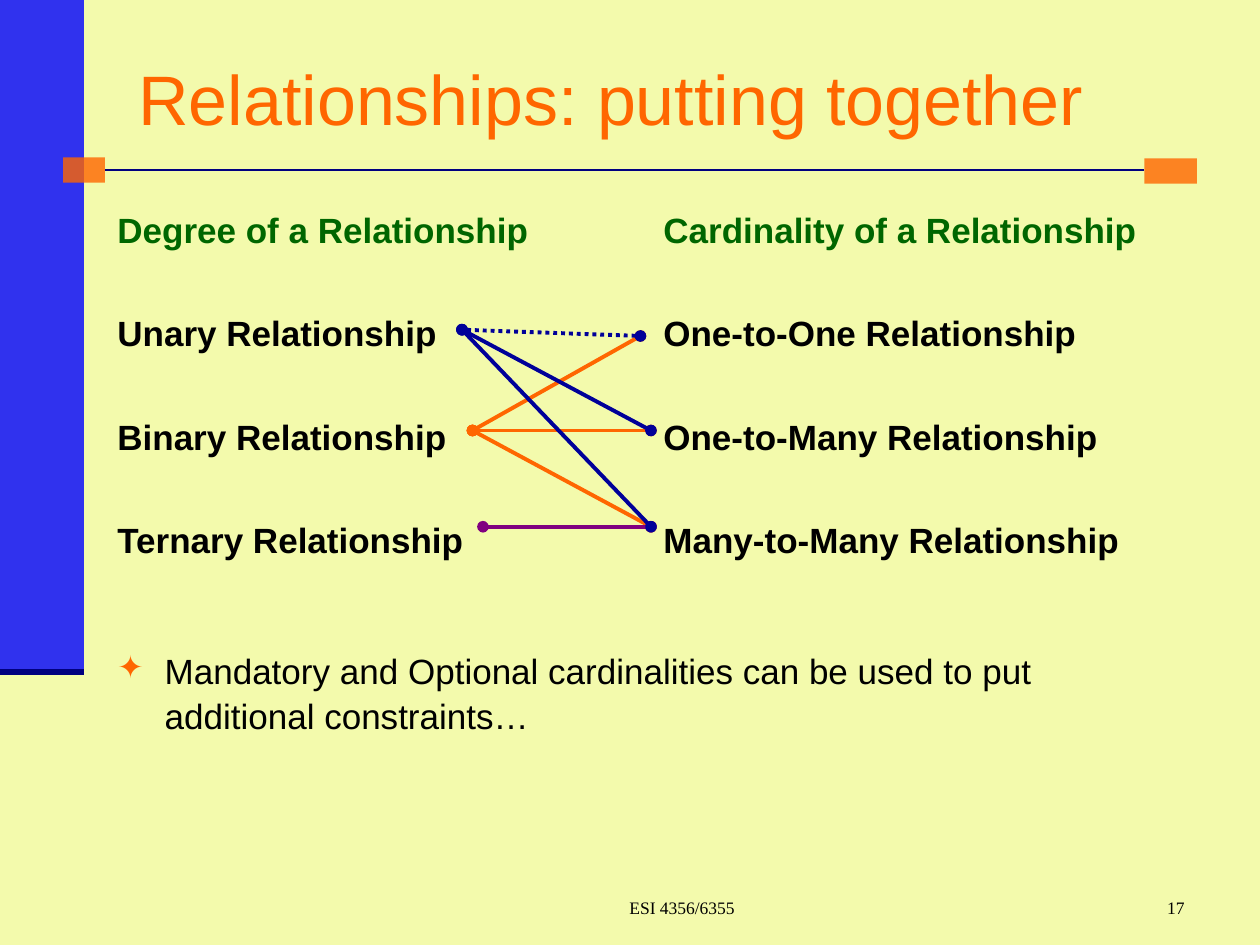
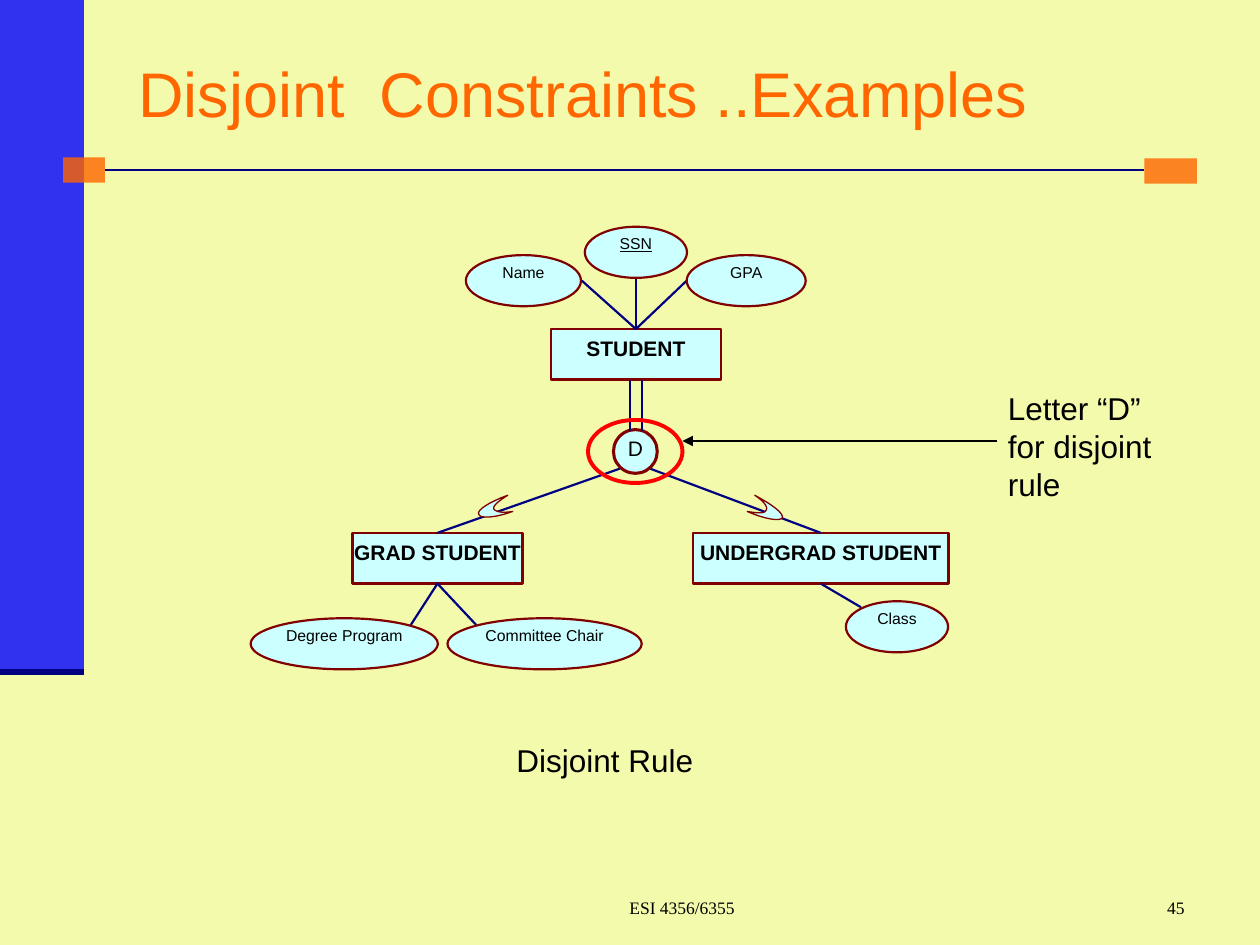
from lxml import etree
from pptx import Presentation
from pptx.dml.color import RGBColor
from pptx.enum.dml import MSO_LINE
from pptx.enum.shapes import MSO_CONNECTOR, MSO_SHAPE
from pptx.enum.text import MSO_ANCHOR, PP_ALIGN
from pptx.oxml.ns import qn
from pptx.util import Pt

RECTANGLE, ELLIPSE = MSO_SHAPE.RECTANGLE, MSO_SHAPE.OVAL
STRAIGHT = MSO_CONNECTOR.STRAIGHT
DOTTED = MSO_LINE.ROUND_DOT
LEFT, CENTER, RIGHT = PP_ALIGN.LEFT, PP_ALIGN.CENTER, PP_ALIGN.RIGHT
TOP, MIDDLE, BOTTOM = MSO_ANCHOR.TOP, MSO_ANCHOR.MIDDLE, MSO_ANCHOR.BOTTOM
TOP_SIDE, BOTTOM_SIDE = 0, 2

COLORS = {
    "background": "F3FAAC", "band": "0000FF", "navy": "000080",
    "orange": "FF6600", "green": "006600", "black": "000000",
    "purple": "800080", "blue": "000099", "cyan": "CCFFFF",
    "maroon": "800000", "red": "FF0000",
}
BODY_FONT, FOOTER_FONT = "Arial", "Times New Roman"
FREEFORM_UNITS = 100
CURVE_STEPS = 8


def rgb(name):
    return RGBColor.from_string(COLORS[name])


def style_paragraph(paragraph, size, color="black", bold=False,
                    align=LEFT, font=BODY_FONT):
    paragraph.alignment = align
    paragraph.font.name = font
    paragraph.font.size = Pt(size)
    paragraph.font.bold = bold
    paragraph.font.color.rgb = rgb(color)


def add_text(slide, box, lines, size, color="black", align=LEFT,
             anchor=TOP, font=BODY_FONT, wrap=True):
    shape = slide.shapes.add_textbox(*map(Pt, box))
    frame = shape.text_frame
    frame.word_wrap = wrap
    frame.vertical_anchor = anchor
    frame.text = "\n".join(lines)
    for paragraph in frame.paragraphs:
        style_paragraph(paragraph, size, color, False, align, font)
    return frame


def add_shape(slide, kind, box, fill=None, line=None, width=1.0, alpha=None):
    shape = slide.shapes.add_shape(kind, *map(Pt, box))
    style_shape(shape, fill, line, width)
    if alpha:
        color = shape.fill._xPr.find(qn("a:solidFill"))[0]
        etree.SubElement(color, qn("a:alpha"), val=str(alpha * 1000))
    return shape


def style_shape(shape, fill, line, width):
    shape.shadow.inherit = False
    if fill:
        shape.fill.solid()
        shape.fill.fore_color.rgb = rgb(fill)
    else:
        shape.fill.background()
    if line:
        shape.line.color.rgb = rgb(line)
        shape.line.width = Pt(width)
    else:
        shape.line.fill.background()


def add_line(slide, start, end, color="navy", width=1.25,
             head=None, tail=None, dash=None):
    connector = slide.shapes.add_connector(STRAIGHT, *map(Pt, start + end))
    connector.line.color.rgb = rgb(color)
    connector.line.width = Pt(width)
    if dash:
        connector.line.dash_style = dash
    outline = connector.line._get_or_add_ln()
    for tag, arrow in (("a:headEnd", head), ("a:tailEnd", tail)):
        if arrow:
            etree.SubElement(outline, qn(tag), type=arrow)
    etree.SubElement(connector._element.spPr, qn("a:effectLst"))
    return connector


def add_label(shape, text, size, bold=False, side=0, vertical=0):
    frame = shape.text_frame
    frame.word_wrap = True
    frame.vertical_anchor = TOP
    frame.margin_left = frame.margin_right = Pt(side)
    frame.margin_top = frame.margin_bottom = Pt(vertical)
    frame.text = text
    style_paragraph(frame.paragraphs[0], size, bold=bold, align=CENTER)


def add_entity(slide, box, name):
    shape = add_shape(slide, RECTANGLE, box, "cyan", "maroon", 1.5)
    add_label(shape, name, 12, bold=True, vertical=3.6)
    return shape


def add_attribute(slide, box, name, key=False):
    shape = add_shape(slide, ELLIPSE, box, "cyan", "maroon", 1.25)
    add_label(shape, name, 9)
    shape.text_frame.paragraphs[0].font.underline = key


def curve_points(start, curves):
    points = []
    for first, second, end in curves:
        for step in range(1, CURVE_STEPS + 1):
            t = step / CURVE_STEPS
            weights = ((1 - t) ** 3, 3 * t * (1 - t) ** 2,
                       3 * t * t * (1 - t), t ** 3)
            corners = (start, first, second, end)
            points.append(tuple(
                sum(weight * corner[axis]
                    for weight, corner in zip(weights, corners))
                for axis in (0, 1)))
        start = end
    return points


def add_crescent(slide, start, curves):
    points = [(x * FREEFORM_UNITS, y * FREEFORM_UNITS)
              for x, y in [start] + curve_points(start, curves)]
    builder = slide.shapes.build_freeform(
        *points[0], scale=Pt(1) / FREEFORM_UNITS)
    builder.add_line_segments(points[1:], close=True)
    style_shape(builder.convert_to_shape(), "cyan", "maroon", 0.75)


def add_column(slide, left, width, heading, entries):
    frame = add_text(slide, (left, 113.8, width, 342), [heading] + entries, 20)
    for index, paragraph in enumerate(frame.paragraphs):
        paragraph.font.bold = True
        paragraph.line_spacing = 1.07
        if index:
            paragraph.space_before = Pt(33.4)
    frame.paragraphs[0].font.color.rgb = rgb("green")


def add_bullet(slide, box, text):
    frame = add_text(slide, box, [text], 20)
    paragraph = frame.paragraphs[0]
    paragraph.line_spacing = 1.07
    properties = paragraph._p.get_or_add_pPr()
    properties.set("marL", str(Pt(27)))
    properties.set("indent", str(-Pt(27)))
    bullet_color = etree.Element(qn("a:buClr"))
    etree.SubElement(bullet_color, qn("a:srgbClr"), val=COLORS["orange"])
    bullet_size = etree.Element(qn("a:buSzPct"), val="90000")
    bullet_mark = etree.Element(qn("a:buChar"), char="✦")
    default_run = properties.find(qn("a:defRPr"))
    for element in (bullet_color, bullet_size, bullet_mark):
        default_run.addprevious(element)


def add_base_slide(presentation, title, title_size, title_top, number):
    slide = presentation.slides.add_slide(presentation.slide_layouts[6])
    slide.background.fill.solid()
    slide.background.fill.fore_color.rgb = rgb("background")
    add_shape(slide, RECTANGLE, (0, 0, 48, 384), "band", alpha=80)
    add_line(slide, (0, 384), (48, 384), width=3.5)
    add_shape(slide, RECTANGLE, (654, 90.6, 30, 14.4), "orange", alpha=80)
    add_shape(slide, RECTANGLE, (36, 90, 24, 14.4), "orange", alpha=80)
    add_line(slide, (60, 97.2), (654, 97.2), width=1.5)
    add_text(slide, (72, title_top, 612, 68.4), [title], title_size,
             "orange", anchor=MIDDLE)
    footer = add_text(slide, (264, 492, 234, 36), ["ESI 4356/6355"], 10,
                      align=CENTER, anchor=BOTTOM, font=FOOTER_FONT)
    footer.margin_left = Pt(24.5)
    add_text(slide, (534, 492, 150, 36), [number], 10,
             align=RIGHT, anchor=BOTTOM, font=FOOTER_FONT)
    return slide


def build_relationships(presentation):
    slide = add_base_slide(
        presentation, "Relationships: putting together", 40, 21.6, "17")
    add_column(slide, 60, 288, "Degree of a Relationship",
               ["Unary Relationship", "Binary Relationship",
                "Ternary Relationship"])
    add_column(slide, 372, 306, "Cardinality of a Relationship",
               ["One-to-One Relationship", "One-to-Many Relationship",
                "Many-to-Many Relationship"])
    add_bullet(slide, (60, 366, 612, 84),
               "Mandatory and Optional cardinalities can be used to put "
               "additional constraints…")

    unary, binary, ternary = (264, 188.4), (270, 246), (276, 301)
    one_to_one, one_to_many, many_to_many = (366, 192), (372, 246), (372, 301)
    links = [
        (binary, one_to_one, "orange", None),
        (binary, one_to_many, "orange", None),
        (binary, many_to_many, "orange", None),
        (ternary, many_to_many, "purple", None),
        (unary, many_to_many, "blue", None),
        (unary, one_to_many, "blue", None),
        (unary, one_to_one, "blue", DOTTED),
    ]
    for degree, cardinality, color, dash in links:
        add_line(slide, degree, cardinality, color, 2.25,
                 head="oval", tail="oval", dash=dash)


def build_disjoint(presentation):
    slide = add_base_slide(
        presentation, "Disjoint  Constraints ..Examples", 36, 18.7, "45")
    student = add_entity(slide, (314.8, 188, 97.2, 29), "STUDENT")
    grad = add_entity(slide, (201.4, 304.5, 97.2, 29), "GRAD STUDENT")
    undergrad = add_entity(slide, (396, 304.5, 146, 29), "UNDERGRAD STUDENT")

    joined_lines = [
        (student, TOP_SIDE, (363.4, 159)),
        (student, TOP_SIDE, (332.5, 160.4)),
        (student, TOP_SIDE, (392.4, 160.4)),
        (grad, TOP_SIDE, (354.2, 267.8)),
        (undergrad, TOP_SIDE, (371.5, 267.8)),
        (grad, BOTTOM_SIDE, (272.2, 357.2)),
        (grad, BOTTOM_SIDE, (234.7, 357.2)),
        (undergrad, BOTTOM_SIDE, (492, 347)),
    ]
    for entity, side, end in joined_lines:
        connector = add_line(slide, (0, 0), end)
        connector.begin_connect(entity, side)

    add_crescent(slide, (427, 292.3), [
        ((432, 293), (437, 293.8), (437.8, 291.6)),
        ((439.2, 289.4), (435.6, 285.8), (431.3, 283)),
        ((440.6, 288), (447.8, 293), (447.1, 295.9)),
        ((445.7, 298.1), (437, 296.6), (427, 292.3)),
    ])
    add_crescent(slide, (290.2, 283), [
        ((285.8, 285.8), (281.5, 288.7), (282.2, 290.9)),
        ((283.7, 293), (288.7, 293), (293, 292.3)),
        ((283, 295.9), (274.3, 296.6), (273.6, 293.8)),
        ((272.2, 291.6), (280.1, 286.6), (290.2, 283)),
    ])

    attributes = [
        ("GPA", 392.4, 145.8, 68),
        ("Name", 266.2, 145.8, 65.8),
        ("SSN", 334.2, 129.6, 58.4),
        ("Degree Program", 143.2, 353.3, 107),
        ("Committee Chair", 255.7, 353.3, 111),
        ("Class", 483.4, 343.6, 58.4),
    ]
    for name, left, top, width in attributes:
        add_attribute(slide, (left, top, width, 29.2), name, name == "SSN")

    rule = add_shape(slide, ELLIPSE, (350.6, 245.5, 25, 25),
                     "cyan", "maroon", 1.75)
    add_label(rule, "D", 12)
    for x in (360.2, 366.7):
        add_line(slide, (x, 217.4), (x, 246.2))

    add_text(slide, (288, 420, 120, 29), ["Disjoint Rule"], 18, wrap=False)
    add_shape(slide, ELLIPSE, (336, 240, 54, 36), line="red", width=2.25)
    add_line(slide, (570, 252), (390, 252), "black", 1.5, tail="triangle")
    add_text(slide, (568.8, 219, 131, 50.4),
             ["Letter “D”", "for disjoint rule"], 18, wrap=False)


def main():
    presentation = Presentation()
    presentation.slide_width = Pt(720)
    presentation.slide_height = Pt(540)
    build_relationships(presentation)
    build_disjoint(presentation)
    presentation.save("out.pptx")


if __name__ == "__main__":
    main()
